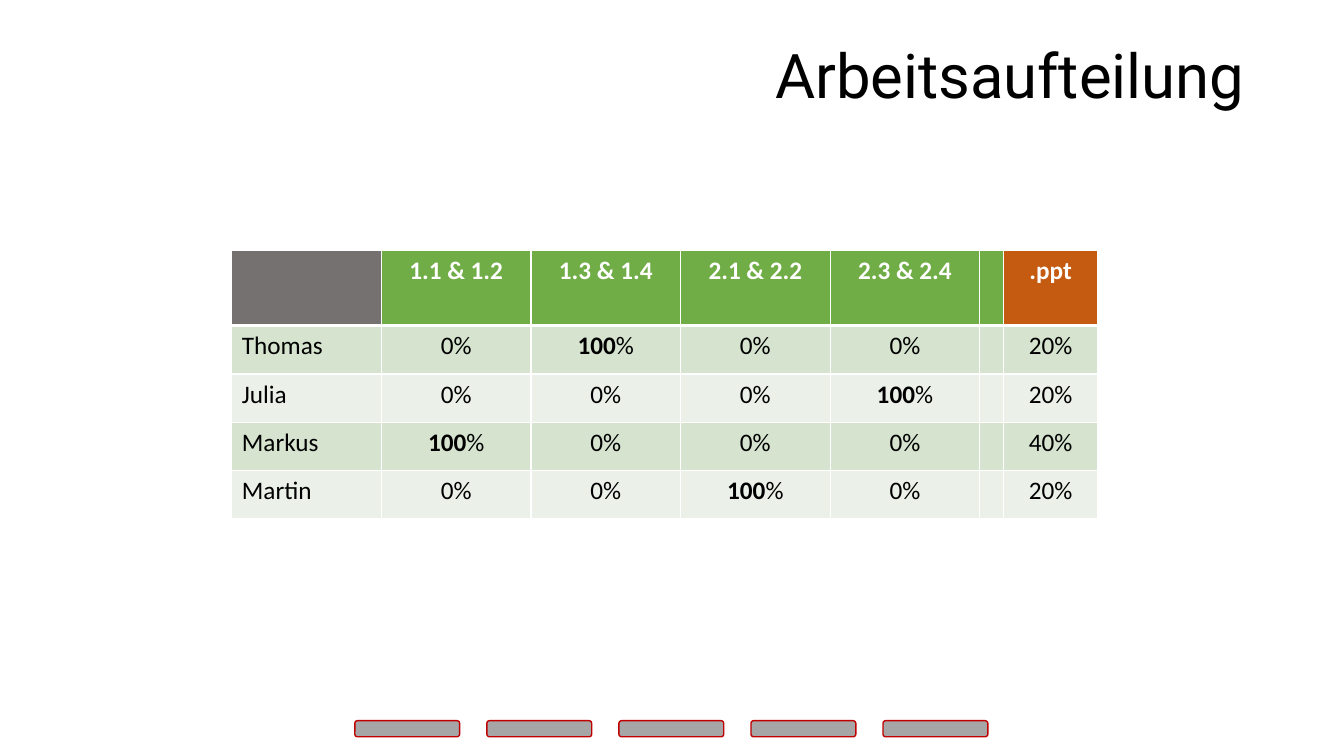
from lxml import etree
from pptx import Presentation, util as u
from pptx.dml.color import RGBColor
from pptx.enum import shapes, text
from pptx.oxml.ns import qn


class Theme:
    white, black = "FFFFFF", "000000"
    corner, header, accent = "767171", "70AD47", "C55A11"
    bands = "D5E3CF", "EBF1E9"
    marker, marker_line = "A6A6A6", "C00000"
    title = {"name": "Roboto", "size": u.Pt(44), "bold": False}
    heading = {"name": "Calibri", "size": u.Pt(18), "bold": True}
    body = {**heading, "bold": False}
    thin, thick = u.Pt(1), u.Pt(3)


COLUMNS, ROWS = 133.33, 75
HEADINGS = ["", "1.1 & 1.2", "1.3 & 1.4", "2.1 & 2.2", "2.3 & 2.4", "", ".ppt"]
# Name, task column done completely, share of the presentation
MEMBERS = [("Thomas", 2, "20%"), ("Julia", 4, "20%"),
           ("Markus", 1, "40%"), ("Martin", 3, "20%")]


def set_values(target, values):
    for name, value in values.items():
        setattr(target, name, value)


class SlideBuilder:
    """Places elements on a slide divided into COLUMNS by ROWS."""

    def __init__(self, presentation, theme):
        self.theme = theme
        self.cell_width = presentation.slide_width / COLUMNS
        self.cell_height = presentation.slide_height / ROWS
        self.slide = presentation.slides.add_slide(presentation.slide_layouts[6])

    def across(self, columns):
        return round(columns * self.cell_width)

    def down(self, rows):
        return round(rows * self.cell_height)

    def box(self, left, top, width, height):
        return self.across(left), self.down(top), self.across(width), self.down(height)

    def add_words(self, paragraph, pieces, color, alignment):
        """Fill a paragraph with (words, font values) pieces."""
        paragraph.alignment = alignment
        for words, font in pieces:
            run = paragraph.add_run()
            run.text = words
            set_values(run.font, font)
            run.font.color.rgb = RGBColor.from_string(color)

    def title(self, words, place):
        frame = self.slide.shapes.add_textbox(*self.box(*place)).text_frame
        set_values(frame, {"word_wrap": True, "vertical_anchor": text.MSO_ANCHOR.TOP})
        paragraph = frame.paragraphs[0]
        paragraph.line_spacing = 0.9
        self.add_words(paragraph, [(words, self.theme.title)], self.theme.black,
                       text.PP_ALIGN.RIGHT)

    def borders(self, cell, widths):
        properties = cell._tc.get_or_add_tcPr()
        for index, (side, width) in enumerate(widths.items()):
            line = etree.Element(qn(f"a:ln{side}"), w=str(width))
            fill = etree.SubElement(line, qn("a:solidFill"))
            etree.SubElement(fill, qn("a:srgbClr"), val=self.theme.white)
            properties.insert(index, line)

    def cell(self, cell, pieces, fill, color, alignment, widths):
        cell.fill.solid()
        cell.fill.fore_color.rgb = RGBColor.from_string(fill)
        self.borders(cell, widths)
        self.add_words(cell.text_frame.paragraphs[0], pieces, color, alignment)

    def work_table(self, place, widths, heights):
        theme = self.theme
        table = self.slide.shapes.add_table(
            len(heights), len(widths), *self.box(*place)).table
        for column, width in zip(table.columns, widths):
            column.width = self.across(width)
        for row, height in zip(table.rows, heights):
            row.height = self.down(height)

        edges = dict.fromkeys("LRTB", theme.thin)
        fills = [theme.corner] + [theme.header] * 5 + [theme.accent]
        for index, (words, fill) in enumerate(zip(HEADINGS, fills)):
            pieces = [(words, theme.heading)] if words else []
            self.cell(table.cell(0, index), pieces, fill, theme.white,
                      text.PP_ALIGN.CENTER, {**edges, "B": theme.thick})

        none = [("0%", theme.body)]
        full = [("100", theme.heading), ("%", theme.body)]
        for row, (name, task, share) in enumerate(MEMBERS, 1):
            tasks = [full if index == task else none for index in range(1, 5)]
            contents = [[(name, theme.body)], *tasks, [], [(share, theme.body)]]
            top = theme.thick if row == 1 else theme.thin
            for index, pieces in enumerate(contents):
                alignment = text.PP_ALIGN.CENTER if index else text.PP_ALIGN.LEFT
                self.cell(table.cell(row, index), pieces, theme.bands[(row - 1) % 2],
                          theme.black, alignment, {**edges, "T": top})

    def markers(self, count, place, step):
        """Draw a group of equal rounded bars, one every step columns."""
        group = self.slide.shapes.add_group_shape()
        left, top, width, height = place
        for index in range(count):
            shape = group.shapes.add_shape(
                shapes.MSO_SHAPE.ROUNDED_RECTANGLE,
                *self.box(left + index * step, top, width, height))
            shape.shadow.inherit = False
            shape.fill.solid()
            shape.fill.fore_color.rgb = RGBColor.from_string(self.theme.marker)
            shape.line.color.rgb = RGBColor.from_string(self.theme.marker_line)
            shape.line.width = self.theme.thin


def main():
    presentation = Presentation()
    set_values(presentation, {"slide_width": u.Inches(13.33),
                              "slide_height": u.Inches(7.5)})
    builder = SlideBuilder(presentation, Theme)
    builder.work_table((23, 24.8, 85.8, 26.7),
                       [14.84] * 5 + [2.36, 9.28], [7.5] + [4.8] * 4)
    builder.title("Arbeitsaufteilung", (34.7, 4, 89.8, 14.5))
    builder.markers(5, (35.2, 71.5, 10.4, 1.6), 13.1)
    presentation.save("out.pptx")


if __name__ == "__main__":
    main()
